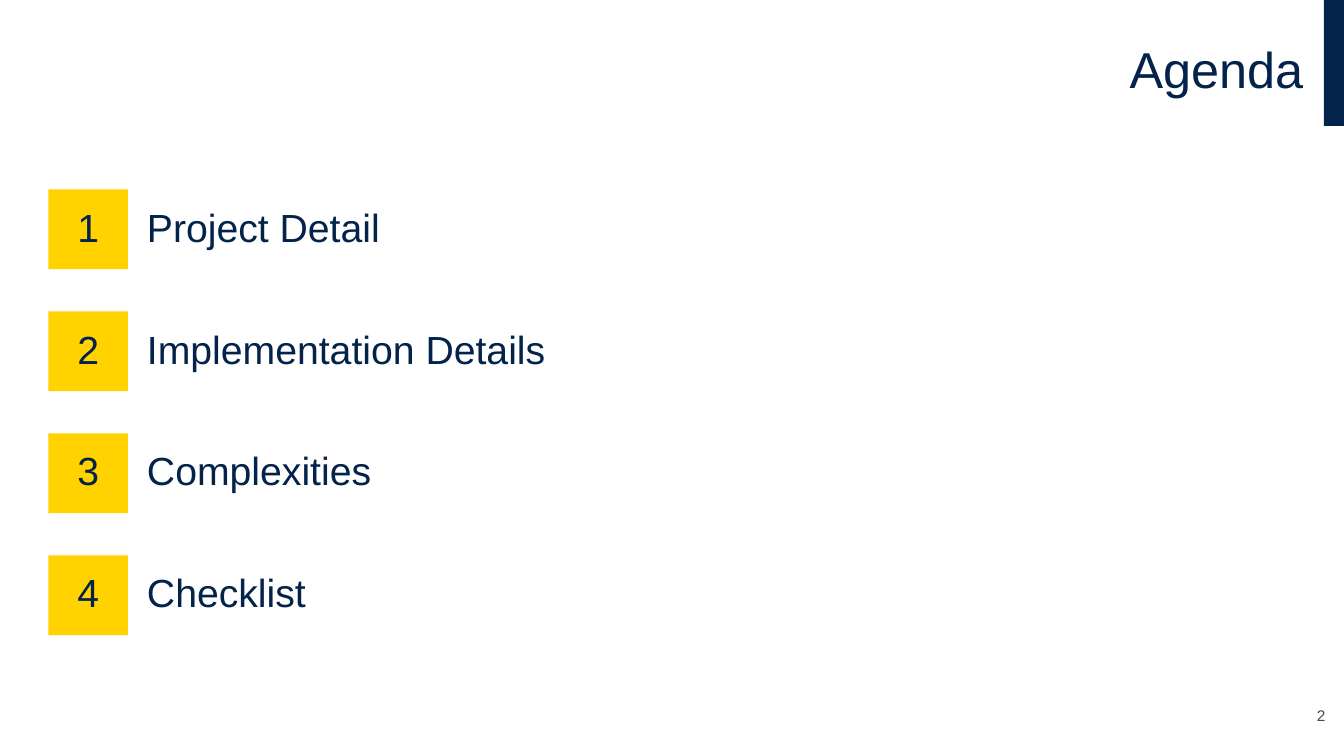
import pptx
import pptx.dml.color
import pptx.enum.shapes
import pptx.enum.text
import pptx.util

ALIGN = pptx.enum.text.PP_ALIGN
ANCHOR = pptx.enum.text.MSO_ANCHOR

COLORS = {"navy": "03234B", "yellow": "FFD200", "grey": "464650", "white": "FFFFFF"}
FONT = "Arial"

# The grid has ten columns and ten rows to the inch.
CELL = 0.1
COLUMNS, ROWS = 133.33, 75

TOPICS = ["Project Detail", "Implementation Details", "Complexities", "Checklist"]
FIRST_ROW, ROW_STEP = 18.8, 12.1
TILE_COLUMN, TILE_SIZE = 4.8, 7.9
TOPIC_COLUMN, TOPIC_WIDTH = 13.6, 51.9


def grid(*counts):
    """Turn counts of columns or rows into lengths."""
    return [pptx.util.Inches(count * CELL) for count in counts]


def color(name):
    return pptx.dml.color.RGBColor.from_string(COLORS[name])


def write(shape, text, size=28, tint="navy", align=ALIGN.LEFT, anchor=ANCHOR.MIDDLE,
          side_inset=1, end_inset=0.5, line_spacing=0.9, space_before=0):
    frame = shape.text_frame
    frame.word_wrap = True
    frame.auto_size = pptx.enum.text.MSO_AUTO_SIZE.NONE
    frame.vertical_anchor = anchor
    frame.margin_left, frame.margin_right = grid(side_inset, side_inset)
    frame.margin_top, frame.margin_bottom = grid(end_inset, end_inset)
    para = frame.paragraphs[0]
    para.alignment = align
    para.line_spacing = line_spacing
    para.space_before = pptx.util.Pt(space_before)
    span = para.add_run()
    span.text = text
    span.font.name = FONT
    span.font.size = pptx.util.Pt(size)
    span.font.color.rgb = color(tint)


def add_block(page, place, fill):
    block = page.shapes.add_shape(
        pptx.enum.shapes.MSO_SHAPE.RECTANGLE, *grid(*place))
    block.shadow.inherit = False
    block.fill.solid()
    block.fill.fore_color.rgb = color(fill)
    block.line.fill.background()
    return block


def add_text(page, place, text, **text_format):
    write(page.shapes.add_textbox(*grid(*place)), text, **text_format)


def add_title(page, place, text):
    title = page.shapes.title
    title.left, title.top, title.width, title.height = grid(*place)
    write(title, text, size=36, align=ALIGN.RIGHT)


def add_topic(page, number, topic):
    """Place a numbered tile and the topic beside it."""
    top = FIRST_ROW + (number - 1) * ROW_STEP
    tile = add_block(page, (TILE_COLUMN, top, TILE_SIZE, TILE_SIZE), "yellow")
    write(tile, str(number), align=ALIGN.CENTER, side_inset=0, end_inset=0,
          space_before=10)
    add_text(page, (TOPIC_COLUMN, top, TOPIC_WIDTH, TILE_SIZE), topic)


def main():
    deck = pptx.Presentation()
    deck.slide_width, deck.slide_height = grid(COLUMNS, ROWS)
    page = deck.slides.add_slide(deck.slide_layouts.get_by_name("Title Only"))
    page.background.fill.solid()
    page.background.fill.fore_color.rgb = color("white")

    add_block(page, (COLUMNS - 2, 0, 2, 12.5), "navy")
    add_title(page, (3.3, 0, 127, 14.3), "Agenda")
    for number, topic in enumerate(TOPICS, start=1):
        add_topic(page, number, topic)
    add_text(page, (127, 69.2, 4.5, 3.2), "2", size=11, tint="grey",
             align=ALIGN.RIGHT, anchor=ANCHOR.BOTTOM, side_inset=0, line_spacing=1.0)

    deck.save("out.pptx")


if __name__ == "__main__":
    main()
